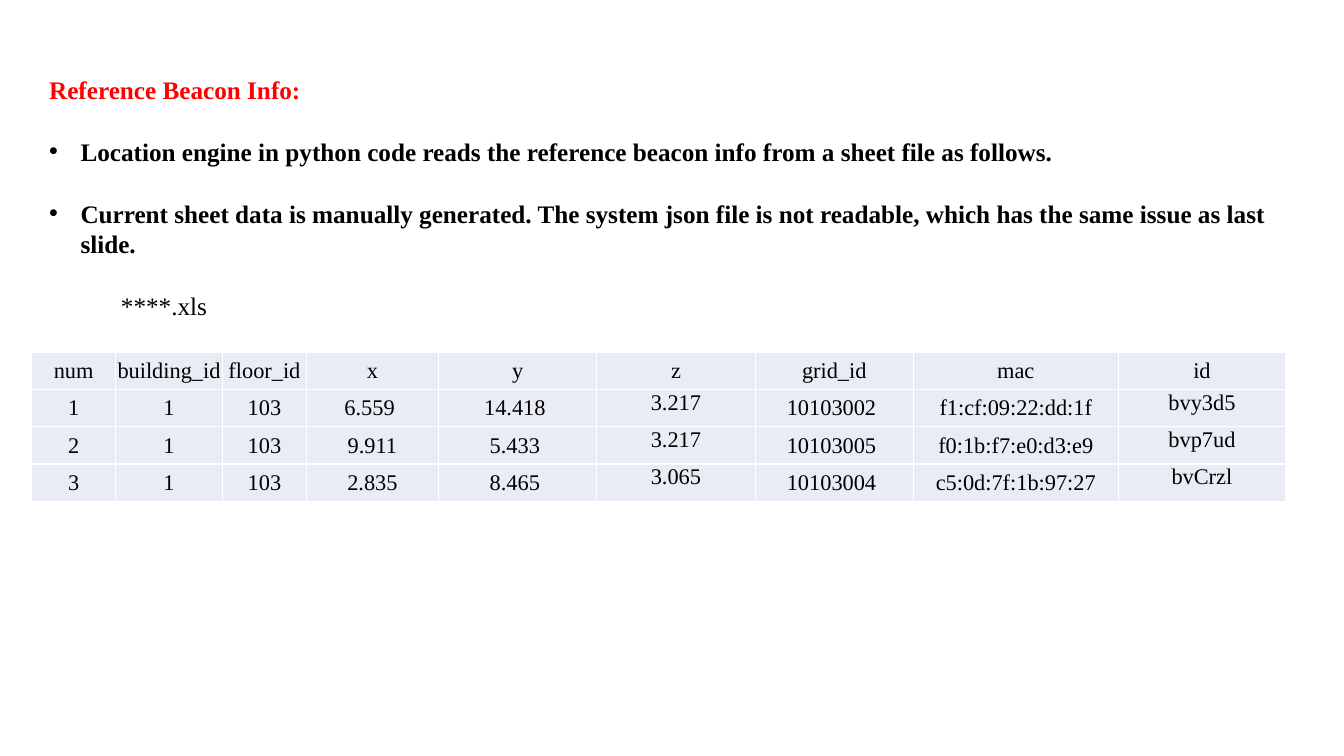
from lxml import etree
from pptx import Presentation
from pptx.dml.color import RGBColor
from pptx.enum.text import MSO_ANCHOR, PP_ALIGN
from pptx.oxml.ns import qn
from pptx.util import Cm, Pt

TOP, MIDDLE = MSO_ANCHOR.TOP, MSO_ANCHOR.MIDDLE
CENTER = PP_ALIGN.CENTER
FACE = "Times New Roman"
BLACK, RED, WHITE, PALE = "000000", "FF0000", "FFFFFF", "E9EBF5"

TITLE = "Reference Beacon Info:"
NOTES = [
    "Location engine in python code reads the reference beacon info from a sheet file as follows.",
    "Current sheet data is manually generated. The system json file is not readable, "
    "which has the same issue as last slide.",
]
WIDTHS = [2.11, 2.7, 2.11, 3.33, 3.99, 3.99, 3.99, 5.16, 4.22]
BEACONS = [
    ["num", "building_id", "floor_id", "x", "y", "z", "grid_id", "mac", "id"],
    ["1", "1", "103", "6.559 ", "14.418 ", "3.217", "10103002 ", "f1:cf:09:22:dd:1f", "bvy3d5"],
    ["2", "1", "103", "9.911", "5.433 ", "3.217", "10103005 ", "f0:1b:f7:e0:d3:e9", "bvp7ud"],
    ["3", "1", "103", "2.835", "8.465 ", "3.065", "10103004 ", "c5:0d:7f:1b:97:27", "bvCrzl"],
]
HIGH = {"z", "id"}  # columns whose values sit at the top of the cell


def color(code):
    return RGBColor.from_string(code)


def style(para, size, code=BLACK, bold=False):
    font = para.font
    font.name, font.size, font.bold = FACE, Pt(size), bold
    font.color.rgb = color(code)


def add_text(slide, left, top, width, height):
    frame = slide.shapes.add_textbox(Cm(left), Cm(top), Cm(width), Cm(height)).text_frame
    frame.word_wrap = True
    return frame


def add_bullet(para):
    props = para._p.get_or_add_pPr()
    props.set("marL", str(Cm(0.79)))
    props.set("indent", str(Cm(-0.79)))
    etree.SubElement(props, qn("a:buFont"), typeface="Arial")
    etree.SubElement(props, qn("a:buChar"), char="•")


def add_intro(slide, left, top, width, height):
    frame = add_text(slide, left, top, width, height)
    head = frame.paragraphs[0]
    head.text = TITLE
    style(head, 18, RED, True)
    for note in NOTES:
        para = frame.add_paragraph()
        para.text = note
        para.space_before = Pt(22.5)
        style(para, 18, bold=True)
        add_bullet(para)


def add_label(slide, left, top, width, height):
    para = add_text(slide, left, top, width, height).paragraphs[0]
    para.text = "****.xls"
    style(para, 18)


def add_border(cell):
    props = cell._tc.get_or_add_tcPr()
    for spot, side in enumerate(("lnL", "lnR", "lnT", "lnB")):
        line = etree.Element(qn("a:" + side), w=str(Pt(1)))
        fill = etree.SubElement(line, qn("a:solidFill"))
        etree.SubElement(fill, qn("a:srgbClr"), val=WHITE)
        props.insert(spot, line)


def add_grid(slide, left, top, width, height):
    shape = slide.shapes.add_table(
        len(BEACONS), len(WIDTHS), Cm(left), Cm(top), Cm(width), Cm(height))
    table = shape.table
    table.first_row = table.horz_banding = False
    for column, size in zip(table.columns, WIDTHS):
        column.width = Cm(size)
    for r, values in enumerate(BEACONS):
        for c, value in enumerate(values):
            cell = table.cell(r, c)
            cell.text = value
            cell.margin_left = cell.margin_right = cell.margin_top = Cm(0.02)
            cell.margin_bottom = 0
            cell.vertical_anchor = TOP if r and BEACONS[0][c] in HIGH else MIDDLE
            cell.fill.solid()
            cell.fill.fore_color.rgb = color(PALE)
            add_border(cell)
            para = cell.text_frame.paragraphs[0]
            para.alignment = CENTER
            style(para, 16)


def main():
    deck = Presentation()
    deck.slide_width, deck.slide_height = Cm(33.87), Cm(19.05)
    slide = deck.slides.add_slide(deck.slide_layouts[6])
    add_intro(slide, 0.99, 1.75, 32.23, 5.64)
    add_label(slide, 2.8, 7.2, 10.2, 1.02)
    add_grid(slide, 0.8, 8.87, sum(WIDTHS), 3.76)
    deck.save("out.pptx")


if __name__ == "__main__":
    main()
